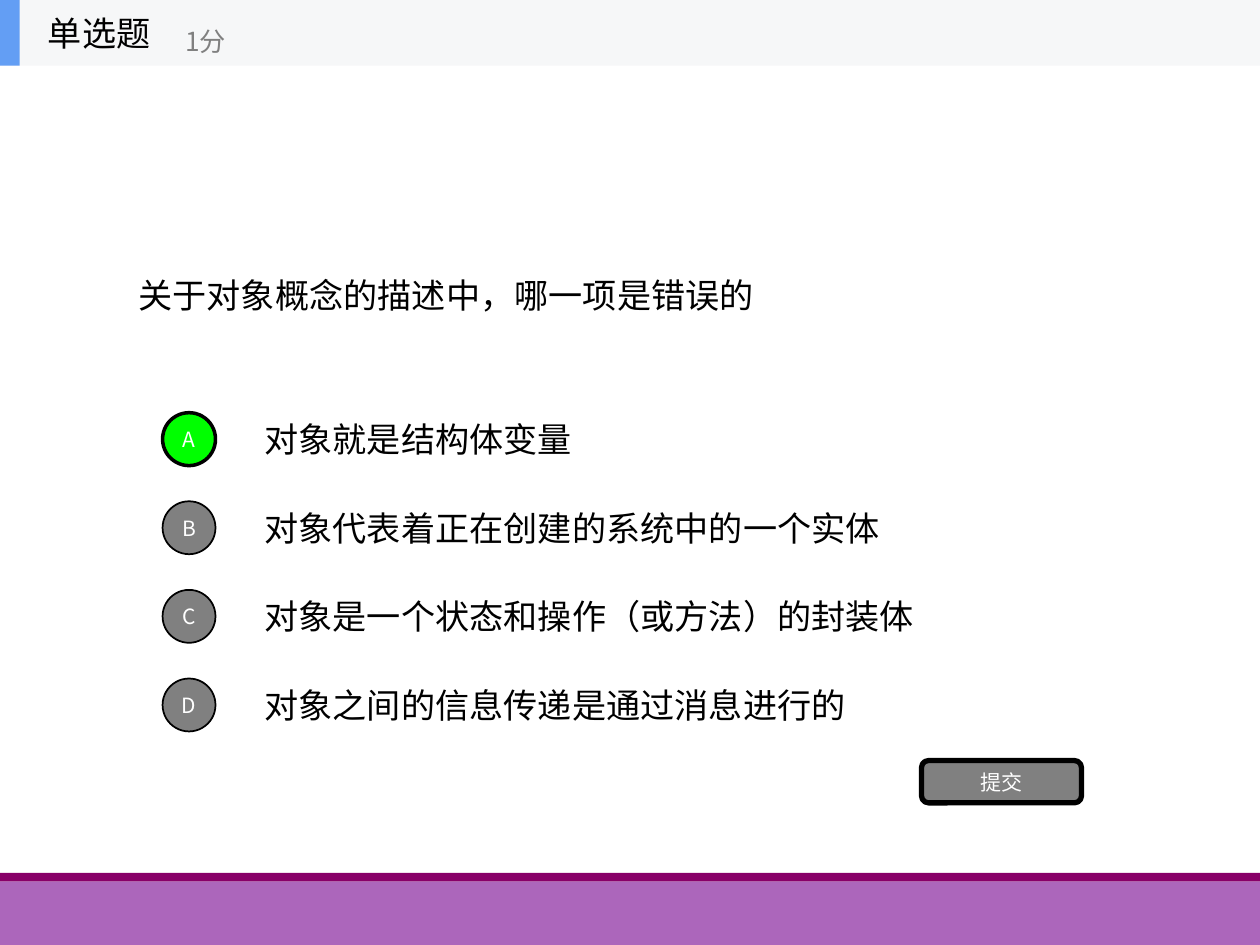
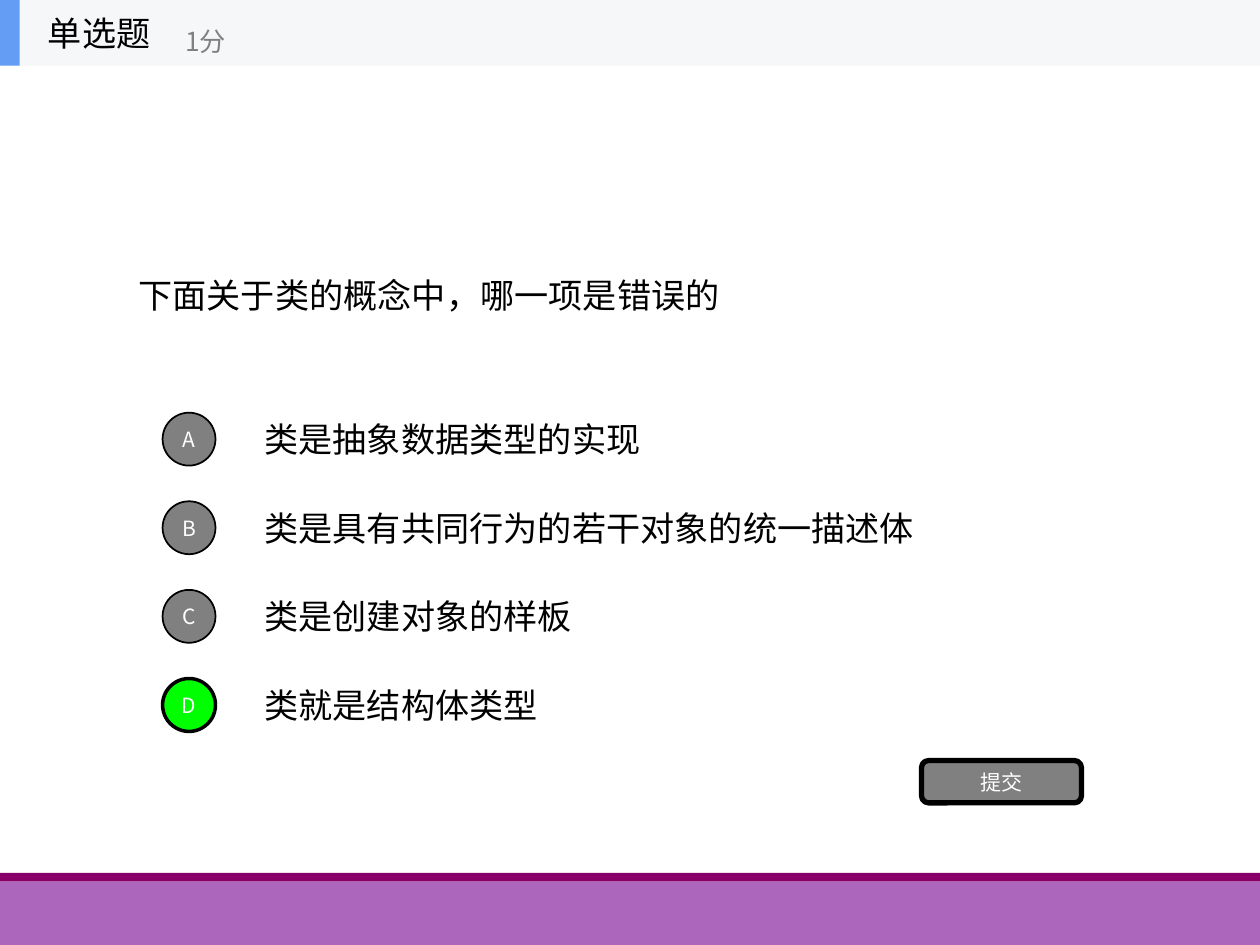
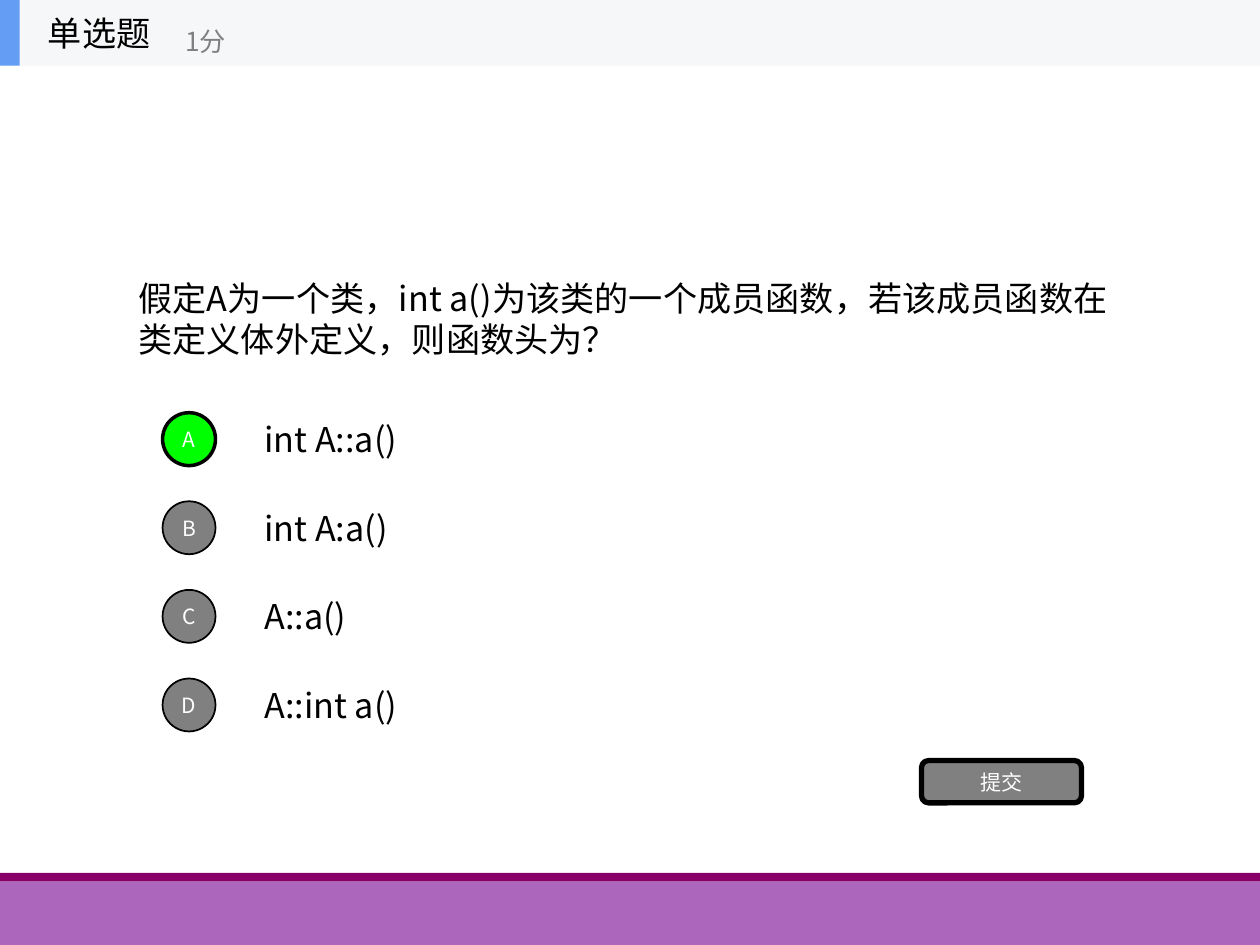
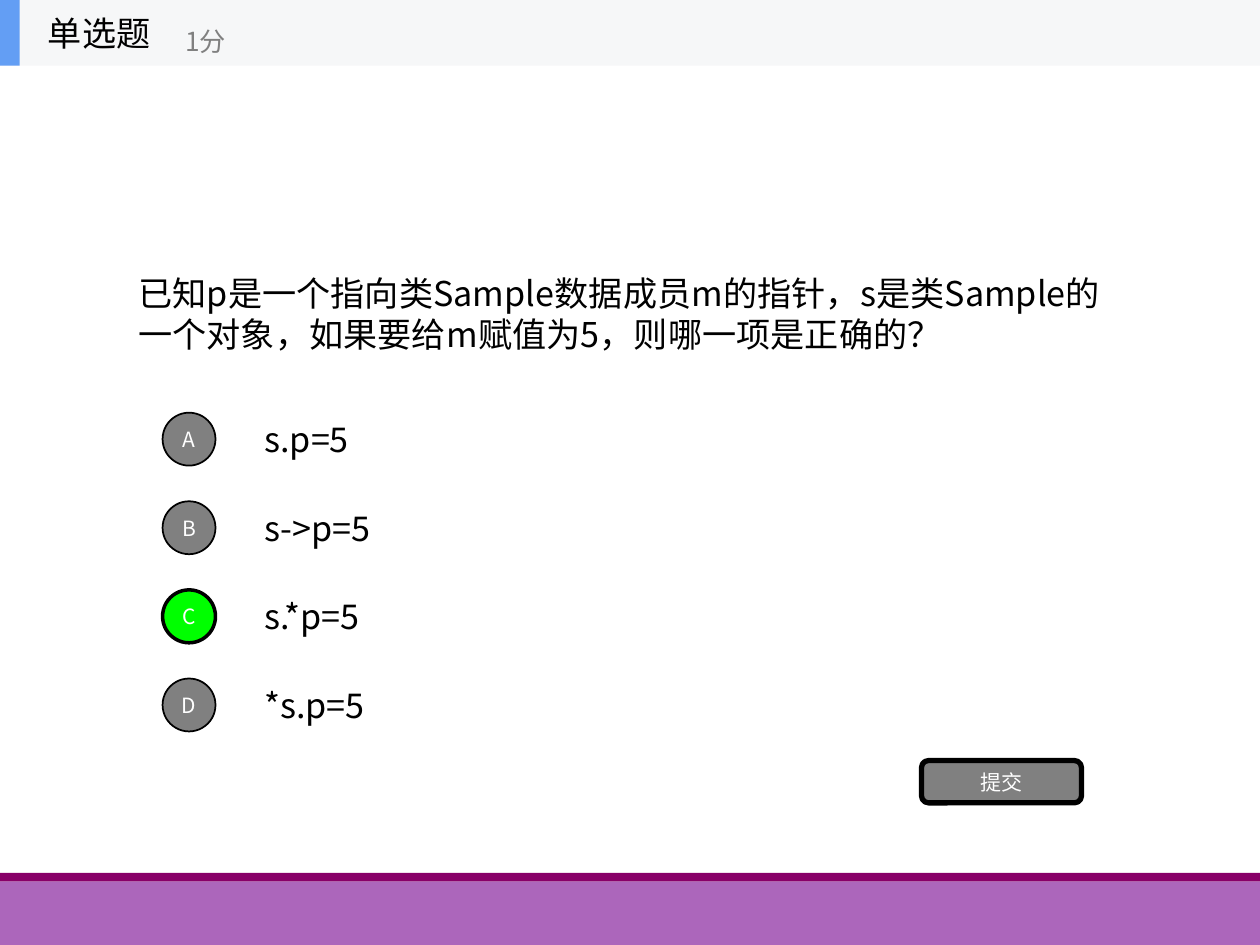
from dataclasses import dataclass
from typing import Any, NamedTuple, Optional

from lxml.etree import SubElement
from pptx import Presentation
from pptx.dml.color import RGBColor
from pptx.enum.shapes import MSO_SHAPE
from pptx.enum.text import MSO_ANCHOR, MSO_AUTO_SIZE, PP_ALIGN
from pptx.oxml.ns import qn
from pptx.util import Pt


# Theme: colours and type sizes
@dataclass(frozen=True)
class Theme:
    font: str = "Noto Sans CJK SC"
    ink: str = "000000"
    white: str = "FFFFFF"
    grey: str = "808080"
    green: str = "00FF00"
    pale: str = "F6F7F8"
    blue: str = "639EF4"
    violet: str = "AC66BB"
    plum: str = "880068"
    body: float = 19.5
    score: float = 15
    label: float = 12
    leading: float = 23.4


class Box(NamedTuple):
    left: float
    top: float
    width: float
    height: float


class Style(NamedTuple):
    size: float
    color: str
    align: Any = PP_ALIGN.LEFT
    wrap: bool = True
    inset: Optional[float] = None
    leading: Optional[float] = None


@dataclass(frozen=True)
class Quiz:
    ask: str
    box: Box
    choices: tuple[str, ...]
    answer: str


THEME = Theme()
BODY = Style(THEME.body, THEME.ink)
ASK = BODY._replace(leading=THEME.leading)
TITLE = BODY._replace(wrap=False)
SCORE = Style(THEME.score, THEME.grey, wrap=False)
LABEL = Style(THEME.label, THEME.white, PP_ALIGN.CENTER, inset=0)

# Layout, in points
WIDTH, HEIGHT = 720, 540
PITCH = 50.64
CHOICE = Box(144, 231.84, 504, 38.16)
BADGE = Box(92.88, 235.8, 30.24, 30.24)
BUTTON = Box(526.6, 434.6, 91.44, 24.2)
HEAD = Box(0, 0, WIDTH, 37.6)
SHORT = Box(72, 105.12, 576, 126.72)
BANDS = (
    (Box(0, 503.7, WIDTH, 36.3), THEME.violet),
    (Box(0, 498.8, WIDTH, 4.9), THEME.plum),
)

QUIZZES = (
    Quiz("关于对象概念的描述中，哪一项是错误的", SHORT,
         ("对象就是结构体变量", "对象代表着正在创建的系统中的一个实体",
          "对象是一个状态和操作（或方法）的封装体",
          "对象之间的信息传递是通过消息进行的"), "A"),
    Quiz("下面关于类的概念中，哪一项是错误的", SHORT,
         ("类是抽象数据类型的实现", "类是具有共同行为的若干对象的统一描述体",
          "类是创建对象的样板", "类就是结构体类型"), "D"),
    Quiz("假定A为一个类，int a()为该类的一个成员函数，"
         "若该成员函数在类定义体外定义，则函数头为？",
         Box(72, 133.2, 576, 97.2),
         ("int A::a()", "int A:a()", "A::a()", "A::int a()"), "A"),
    Quiz("已知p是一个指向类Sample数据成员m的指针，s是类Sample的一个对象，"
         "如果要给m赋值为5，则哪一项是正确的？",
         Box(72, 128.88, 576, 100.8),
         ("s.p=5", "s->p=5", "s.*p=5", "*s.p=5"), "C"),
)


# Drawing helpers
def assign(target: Any, values: dict[str, Any]) -> None:
    for name, value in values.items():
        setattr(target, name, value)


def points(box: Box) -> list[Pt]:
    return [Pt(value) for value in box]


def shift(box: Box, row: int) -> Box:
    return box._replace(top=box.top + row * PITCH)


def write(shape: Any, text: str, style: Style) -> None:
    frame = shape.text_frame
    assign(frame, {"text": text, "word_wrap": style.wrap,
                   "auto_size": MSO_AUTO_SIZE.NONE,
                   "vertical_anchor": MSO_ANCHOR.MIDDLE})
    if style.inset is not None:
        sides = ("left", "top", "right", "bottom")
        assign(frame, {f"margin_{side}": Pt(style.inset) for side in sides})
    para = frame.paragraphs[0]
    para.alignment = style.align
    if style.leading:
        para.line_spacing = Pt(style.leading)
    # Keep closing marks inside the text area
    para._p.get_or_add_pPr().set("hangingPunct", "0")
    run = para.runs[0]
    assign(run.font, {"size": Pt(style.size), "name": THEME.font})
    run.font.color.rgb = RGBColor.from_string(style.color)
    # East Asian glyphs need their own font entry
    SubElement(run.font._element, qn("a:ea"), typeface=THEME.font)


def add_text(shapes: Any, box: Box, text: str, style: Style) -> None:
    write(shapes.add_textbox(*points(box)), text, style)


def add_block(shapes: Any, kind: Any, box: Box, fill: str,
              line: float = 0, text: str = "") -> Any:
    shape = shapes.add_shape(kind, *points(box))
    shape.shadow.inherit = False
    shape.fill.solid()
    shape.fill.fore_color.rgb = RGBColor.from_string(fill)
    if line:
        shape.line.color.rgb = RGBColor.from_string(THEME.ink)
        shape.line.width = Pt(line)
    else:
        shape.line.fill.background()
    if text:
        write(shape, text, LABEL)
    return shape


# Shared parts
def add_bands(slide: Any) -> None:
    """Draw the footer bands and hand them to the layout."""
    for box, fill in BANDS:
        band = add_block(slide.shapes, MSO_SHAPE.RECTANGLE, box, fill)
        slide.slide_layout.shapes.element.append(band.element)


def add_head(slide: Any) -> None:
    group = slide.shapes.add_group_shape().shapes
    add_block(group, MSO_SHAPE.RECTANGLE, HEAD, THEME.pale)
    add_block(group, MSO_SHAPE.RECTANGLE, HEAD._replace(width=11.3), THEME.blue)
    add_text(group, Box(98.64, 8.2, 135.36, 30.24), "1分", SCORE)
    title = slide.shapes.title
    spot = dict(zip(Box._fields, points(Box(20.16, 0, 112.32, HEAD.height))))
    assign(title, spot)
    write(title, "单选题", TITLE)
    # Lift the title above the header bar
    slide.shapes.element.append(title.element)


# One question slide
def add_quiz(slide: Any, quiz: Quiz) -> None:
    shapes = slide.shapes
    add_text(shapes, quiz.box, quiz.ask, ASK)
    for row, choice in enumerate(quiz.choices):
        add_text(shapes, shift(CHOICE, row), choice, BODY)
    for row, letter in enumerate("ABCD"):
        right = letter == quiz.answer
        add_block(shapes, MSO_SHAPE.OVAL, shift(BADGE, row),
                  THEME.green if right else THEME.grey,
                  2 if right else 1, letter)
    add_block(shapes, MSO_SHAPE.ROUNDED_RECTANGLE, BUTTON, THEME.grey, 3, "提交")
    add_head(slide)


def main() -> None:
    deck = Presentation()
    assign(deck, {"slide_width": Pt(WIDTH), "slide_height": Pt(HEIGHT)})
    layout = deck.slide_layouts.get_by_name("Title Only")
    for number, quiz in enumerate(QUIZZES):
        slide = deck.slides.add_slide(layout)
        if number == 0:
            add_bands(slide)
        add_quiz(slide, quiz)
    deck.save("out.pptx")


if __name__ == "__main__":
    main()
